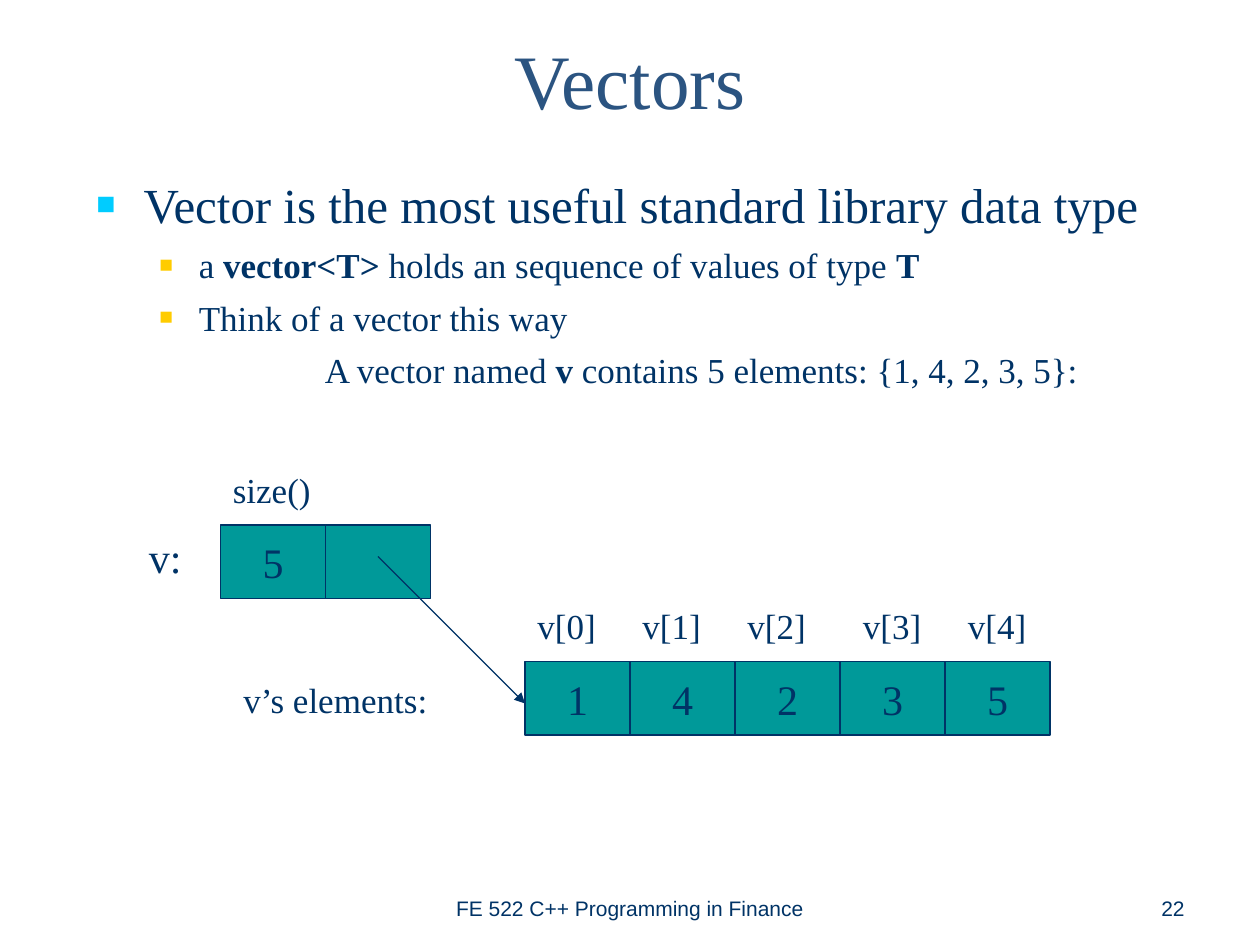
import pptx
import pptx.util
import pptx.dml.color
import pptx.enum.shapes
import pptx.enum.text
import pptx.oxml.ns
import lxml.etree

Pt = pptx.util.Pt
RGBColor = pptx.dml.color.RGBColor
ALIGN = pptx.enum.text.PP_ALIGN
ANCHOR = pptx.enum.text.MSO_ANCHOR

NAVY = RGBColor(0x00, 0x33, 0x66)
TITLE_BLUE = RGBColor(0x2B, 0x54, 0x81)
TEAL = RGBColor(0x00, 0x99, 0x99)
CYAN = RGBColor(0x00, 0xCC, 0xFF)
YELLOW = RGBColor(0xFF, 0xCC, 0x00)
SERIF = "Times New Roman"
SANS = "Arial"

CELL_WIDTH, CELL_HEIGHT = 60, 42


def add_child(parent, name, **attributes):
    return lxml.etree.SubElement(parent, pptx.oxml.ns.qn(name), attributes)


def add_run(paragraph, text, size, color=NAVY, font=SERIF, bold=False):
    run = paragraph.add_run()
    run.text = text
    run.font.size = Pt(size)
    run.font.name = font
    run.font.bold = bold
    run.font.color.rgb = color


def add_text(slide, box, text, size, color=NAVY, font=SERIF,
             align=ALIGN.LEFT, anchor=ANCHOR.TOP):
    frame = slide.shapes.add_textbox(*map(Pt, box)).text_frame
    frame.word_wrap = True
    frame.vertical_anchor = anchor
    paragraph = frame.paragraphs[0]
    paragraph.alignment = align
    add_run(paragraph, text, size, color, font)


def indent_paragraph(paragraph, left, hanging, bullet_color):
    properties = paragraph._p.get_or_add_pPr()
    properties.set("marL", str(Pt(left)))
    properties.set("indent", str(-Pt(hanging)))
    if bullet_color is None:
        add_child(properties, "a:buNone")
        return
    color = add_child(properties, "a:buClr")
    add_child(color, "a:srgbClr", val=str(bullet_color))
    add_child(properties, "a:buSzPct", val="65000")
    add_child(properties, "a:buFont", typeface=SANS)
    add_child(properties, "a:buChar", char="■")


def add_body(slide, box):
    """Place the bullets; each row is level, left, hanging, bullet, size, runs."""
    rows = [
        (0, 27, 27, CYAN, 28,
         [("Vector is the most useful standard library data type", False)]),
        (1, 58.5, 22.5, YELLOW, 20,
         [("a ", False), ("vector<T>", True),
          (" holds an sequence of values of type ", False), ("T", True)]),
        (1, 58.5, 22.5, YELLOW, 20, [("Think of a vector this way", False)]),
        (1, 130.5, 0, None, 20,
         [("A vector named ", False), ("v", True),
          (" contains 5 elements: {1, 4, 2, 3, 5}:", False)]),
    ]
    frame = slide.shapes.add_textbox(*map(Pt, box)).text_frame
    frame.word_wrap = True
    for index, (level, left, hanging, bullet, size, runs) in enumerate(rows):
        paragraph = frame.add_paragraph() if index else frame.paragraphs[0]
        paragraph.level = level
        if index:
            paragraph.space_before = Pt(6)
        indent_paragraph(paragraph, left, hanging, bullet)
        for text, bold in runs:
            add_run(paragraph, text, size, bold=bold)


def add_cells(slide, left, top, values):
    for index, value in enumerate(values):
        cell = slide.shapes.add_shape(
            pptx.enum.shapes.MSO_SHAPE.RECTANGLE, Pt(left + index * CELL_WIDTH),
            Pt(top), Pt(CELL_WIDTH), Pt(CELL_HEIGHT))
        cell.shadow.inherit = False
        cell.fill.solid()
        cell.fill.fore_color.rgb = TEAL
        cell.line.color.rgb = NAVY
        cell.line.width = Pt(0.75)
        if value:
            frame = cell.text_frame
            frame.word_wrap = False
            frame.vertical_anchor = ANCHOR.MIDDLE
            frame.paragraphs[0].alignment = ALIGN.CENTER
            add_run(frame.paragraphs[0], value, 24)


def add_arrow(slide, start, end):
    arrow = slide.shapes.add_connector(
        pptx.enum.shapes.MSO_CONNECTOR.STRAIGHT, *map(Pt, start + end))
    arrow.line.color.rgb = NAVY
    arrow.line.width = Pt(0.75)
    add_child(arrow.line._get_or_add_ln(), "a:tailEnd", type="triangle")
    add_child(arrow._element.spPr, "a:effectLst")


def add_vector_diagram(slide, left, top):
    """Draw the vector header, its elements and the pointer between them."""
    header_left, header_top = left + 48, top + 36
    elements_left, elements_top = left + 222, top + 114
    add_cells(slide, elements_left, elements_top, ["1", "4", "2", "3", "5"])
    add_cells(slide, header_left, header_top, ["5", ""])
    add_arrow(slide, (header_left + 1.5 * CELL_WIDTH, header_top + 18),
              (elements_left, elements_top + 24))
    add_text(slide, (left, header_top, 36, 36), "v:", 24)
    add_text(slide, (left + 54, elements_top + 6, 138, 31.5), "v’s elements:", 20)
    for index in range(5):
        nudge = 6 if index > 2 else 0
        label_left = elements_left + index * CELL_WIDTH + nudge
        add_text(slide, (label_left, elements_top - 36, 60, 31.5), f"v[{index}]", 20)
    add_text(slide, (header_left, top, 66, 31.5), "size()", 20)


def add_footer(slide, top, height):
    add_text(slide, (246, top, 228, height), "FE 522 C++ Programming in Finance",
             12, font=SANS, align=ALIGN.CENTER, anchor=ANCHOR.BOTTOM)
    add_text(slide, (516, top, 168, height), "22", 12, font=SANS,
             align=ALIGN.RIGHT, anchor=ANCHOR.BOTTOM)


def main():
    presentation = pptx.Presentation()
    presentation.slide_width, presentation.slide_height = Pt(720), Pt(540)
    slide = presentation.slides.add_slide(presentation.slide_layouts[6])
    add_text(slide, (54, 0, 612, 90), "Vectors", 44, TITLE_BLUE,
             align=ALIGN.CENTER, anchor=ANCHOR.MIDDLE)
    add_body(slide, (48, 96, 636, 150))
    add_vector_diagram(slide, 78, 264)
    add_footer(slide, 492, 37.5)
    presentation.save("out.pptx")


if __name__ == "__main__":
    main()
